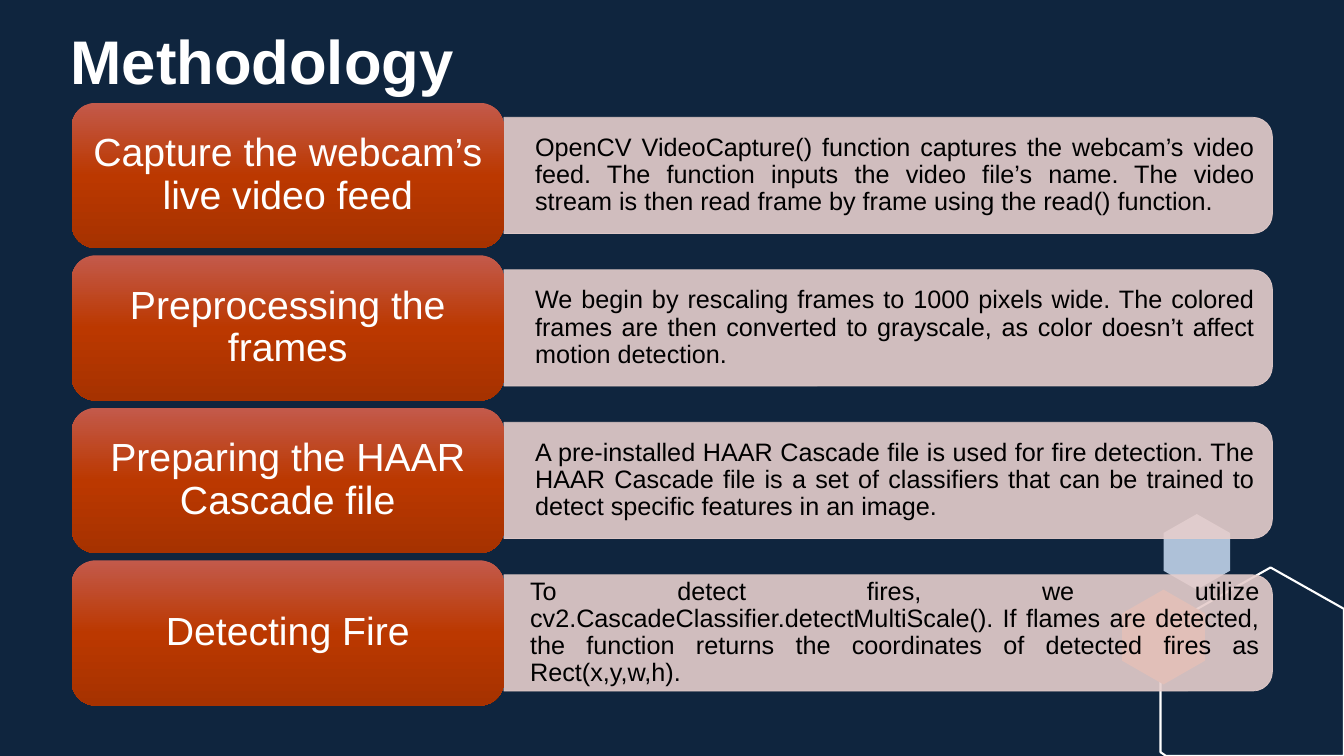
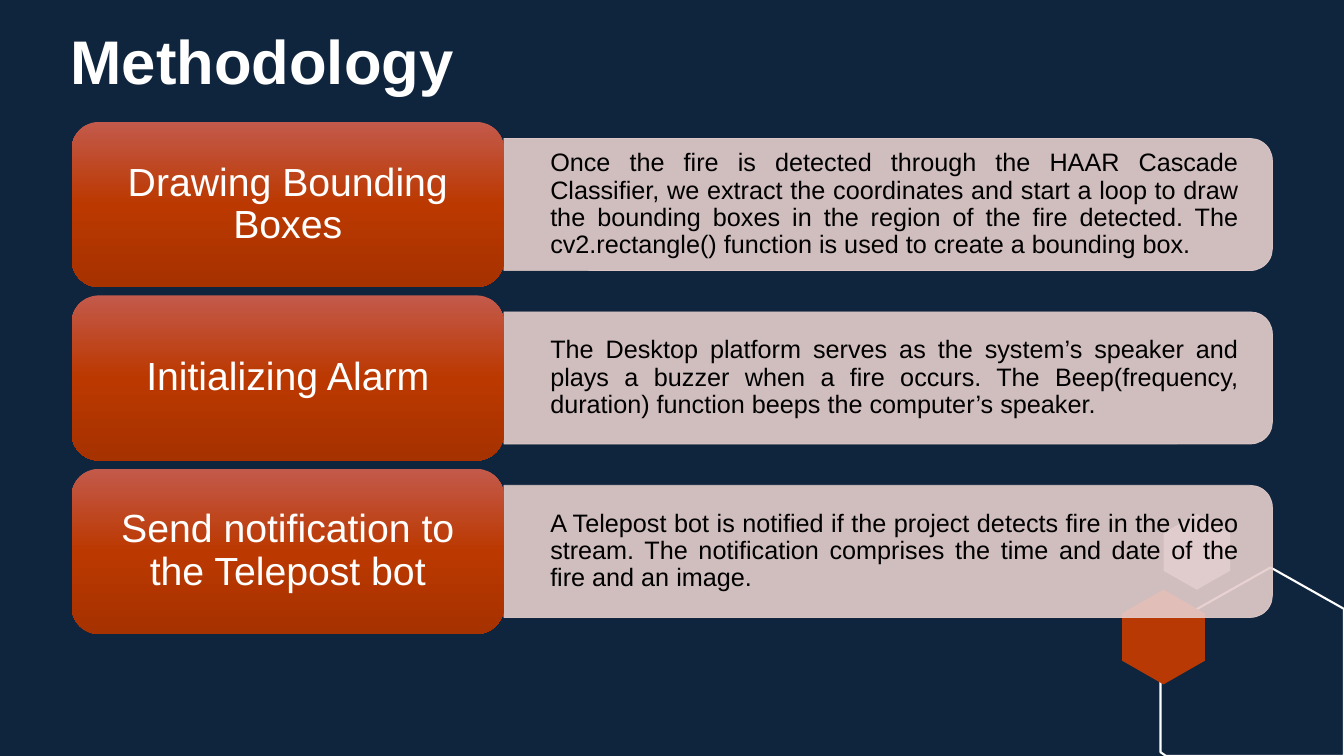
from copy import deepcopy

from pptx import Presentation
from pptx.dml.color import RGBColor
from pptx.enum.shapes import MSO_SHAPE
from pptx.enum.text import MSO_ANCHOR, MSO_AUTO_SIZE, PP_ALIGN
from pptx.oxml.ns import qn
from pptx.util import Inches, Pt

ROUND_RECT = MSO_SHAPE.ROUNDED_RECTANGLE
ROUND_TOP = MSO_SHAPE.ROUND_2_SAME_RECTANGLE
TOP, MIDDLE = MSO_ANCHOR.TOP, MSO_ANCHOR.MIDDLE
LEFT, CENTER, JUSTIFY = PP_ALIGN.LEFT, PP_ALIGN.CENTER, PP_ALIGN.JUSTIFY
NO_AUTOFIT = MSO_AUTO_SIZE.NONE

# Colours
NAVY = RGBColor(0x0F, 0x25, 0x3E)
WHITE = RGBColor(0xFF, 0xFF, 0xFF)
BLACK = RGBColor(0, 0, 0)
PALE_BLUE = RGBColor(0xAE, 0xC1, 0xD8)
RUST = RGBColor(0xB8, 0x39, 0x03)
BLUSH = RGBColor(0xE6, 0xCE, 0xCC)
LABEL_STOPS = [
    (0, RGBColor(0xC3, 0x5A, 0x4B)),
    (0.5, RGBColor(0xBB, 0x38, 0x00)),
    (1, RGBColor(0xA6, 0x32, 0x00)),
]

# Text formats
TITLE_FONT = {"name": "Arial", "size": Pt(44), "bold": True}
LABEL_FONT = {"name": "Arial", "size": Pt(28)}
DETAIL_FONT = {"name": "Arial", "size": Pt(18)}

# Geometry in inches; outlines and row parts as shares of their box
SLIDE_W, SLIDE_H = 13.33, 7.5
TITLE_BOX = (0.64, 0.21, 11.91, 0.75)
ROWS_LEFT, ROWS_WIDTH = 0.71, 11.91
LABEL_SHARE, BAR_SHARE, GAP_SHARE = 0.36, 0.8, 0.05
CORNER_INSET = 0.05
DETAIL_INDENT = 0.19
HEXAGON = [(0.5, 0), (1, 0.25), (1, 0.75), (0.5, 1), (0, 0.75), (0, 0.25)]
CUT_HEXAGON = [(0.6, 0), (1, 0.22), (1, 1), (0.03, 1), (0, 0.98), (0, 0.33)]
DECORATIONS = [
    (HEXAGON, (11.54, 5.1, 0.66, 0.75), PALE_BLUE),
    (CUT_HEXAGON, (11.51, 5.63, 1.82, 1.87), None),
    (HEXAGON, (11.13, 5.85, 0.82, 0.94), RUST),
]

# Content: top and height of the rows, then label, detail and detail insets
NARROW, NORMAL, WIDE = (0.07, 0.04), (0.12, 0.06), (0.27, 0.14)
SLIDES = [
    (1.02, 5.98, [
        ("Capture the webcam’s live video feed",
         "OpenCV VideoCapture() function captures the webcam’s video feed. "
         "The function inputs the video file’s name. The video stream is then "
         "read frame by frame using the read() function.", NORMAL),
        ("Preprocessing the frames",
         "We begin by rescaling frames to 1000 pixels wide. The colored frames "
         "are then converted to grayscale, as color doesn’t affect motion "
         "detection.", NORMAL),
        ("Preparing the HAAR Cascade file",
         "A pre-installed HAAR Cascade file is used for fire detection. The "
         "HAAR Cascade file is a set of classifiers that can be trained to "
         "detect specific features in an image.", NORMAL),
        ("Detecting Fire",
         "To detect fires, we utilize "
         "cv2.CascadeClassifier.detectMultiScale(). If flames are detected, "
         "the function returns the coordinates of detected fires as "
         "Rect(x,y,w,h).", NARROW),
    ]),
    (1.21, 5.08, [
        ("Drawing Bounding Boxes",
         "Once the fire is detected through the HAAR Cascade Classifier, we "
         "extract the coordinates and start a loop to draw the bounding boxes "
         "in the region of the fire detected. The cv2.rectangle() function is "
         "used to create a bounding box.", WIDE),
        ("Initializing Alarm",
         "The Desktop platform serves as the system’s speaker and plays a "
         "buzzer when a fire occurs. The Beep(frequency, duration) function "
         "beeps the computer’s speaker.", WIDE),
        ("Send notification to the Telepost bot",
         "A Telepost bot is notified if the project detects fire in the video "
         "stream. The notification comprises the time and date of the fire and "
         "an image.", WIDE),
    ]),
]


def inches(box):
    return [Inches(v) for v in box]


def write(tf, text, font, color, align, anchor, insets):
    """Fill a text frame with one formatted paragraph."""
    across, down = inches(insets)
    frame_format = {
        "word_wrap": True, "auto_size": NO_AUTOFIT, "vertical_anchor": anchor,
        "margin_left": across, "margin_right": across,
        "margin_top": down, "margin_bottom": down,
    }
    for name, value in frame_format.items():
        setattr(tf, name, value)
    p = tf.paragraphs[0]
    p.alignment, p.line_spacing = align, 0.9
    r = p.add_run()
    r.text = text
    for name, value in font.items():
        setattr(r.font, name, value)
    r.font.color.rgb = color
    return p


def set_alpha(sp, percent):
    """Make the fill and line of a shape partly transparent."""
    for color in sp.element.spPr.iter(qn("a:srgbClr")):
        alpha = color.makeelement(qn("a:alpha"), {"val": str(percent * 1000)})
        color.append(alpha)


def add_outline(s, outline, box, fill):
    """Draw an outline, filled or with a white line, in the given box."""
    x, y, w, h = box
    points = [(Inches(x + px * w), Inches(y + py * h)) for px, py in outline]
    builder = s.shapes.build_freeform(*points[0])
    builder.add_line_segments(points[1:], close=True)
    sp = builder.convert_to_shape()
    sp.shadow.inherit = False
    if fill is None:
        sp.fill.background()
        sp.line.color.rgb, sp.line.width = WHITE, Pt(1.5)
    else:
        sp.fill.solid()
        sp.fill.fore_color.rgb = fill
        sp.line.fill.background()
    return sp


def decorate_master(master, s):
    """Set the shared background and move the hexagons to the master."""
    master.background.fill.solid()
    master.background.fill.fore_color.rgb = NAVY
    for number, decoration in enumerate(DECORATIONS, start=20):
        sp = add_outline(s, *decoration)
        sp.element.nvSpPr.cNvPr.id = number
        master.element.cSld.spTree.append(sp.element)


def add_title(s, text):
    title = s.shapes.title
    title.left, title.top, title.width, title.height = inches(TITLE_BOX)
    write(title.text_frame, text, TITLE_FONT, WHITE, LEFT, TOP, (0.06, 0.1))


def add_bar(s, box, text, insets):
    """Draw a bar rounded on the right, with its detail text."""
    x, y, w, h = box
    # The preset is rounded at the top, so it is turned about its centre
    turned = (x + (w - h) / 2, y + (h - w) / 2, h, w)
    sp = s.shapes.add_shape(ROUND_TOP, *inches(turned))
    sp.rotation = 90
    sp.shadow.inherit = False
    sp.fill.solid()
    sp.fill.fore_color.rgb = BLUSH
    sp.line.color.rgb, sp.line.width = BLUSH, Pt(0.5)
    set_alpha(sp, 90)

    corner = h * CORNER_INSET
    text_box = (x, y + corner, w - corner, h - 2 * corner)
    tf = s.shapes.add_textbox(*inches(text_box)).text_frame
    p = write(tf, text, DETAIL_FONT, BLACK, JUSTIFY, MIDDLE, insets)
    p._p.get_or_add_pPr().set("marL", str(Inches(DETAIL_INDENT)))


def add_label(s, box, text):
    """Draw a rounded label with a gradient from top to bottom."""
    sp = s.shapes.add_shape(ROUND_RECT, *inches(box))
    sp.shadow.inherit = False
    sp.line.fill.background()
    sp.fill.gradient()
    sp.fill.gradient_angle = 270
    stops = sp.element.spPr.find(".//" + qn("a:gsLst"))
    stops.append(deepcopy(stops[0]))
    for stop, (position, color) in zip(sp.fill.gradient_stops, LABEL_STOPS):
        stop.position, stop.color.rgb = position, color
    write(sp.text_frame, text, LABEL_FONT, WHITE, CENTER, MIDDLE, NORMAL)


def add_rows(s, box, rows):
    """Stack the rows, each a label and a bar, evenly in the box."""
    x, y, w, h = box
    row_h = h / (len(rows) + (len(rows) - 1) * GAP_SHARE)
    label_w, bar_h = w * LABEL_SHARE, row_h * BAR_SHARE
    for i, (label, detail, insets) in enumerate(rows):
        top = y + i * row_h * (1 + GAP_SHARE)
        bar = (x + label_w, top + (row_h - bar_h) / 2, w - label_w, bar_h)
        add_bar(s, bar, detail, insets)
        add_label(s, (x, top, label_w, row_h), label)


def main():
    prs = Presentation()
    prs.slide_width, prs.slide_height = Inches(SLIDE_W), Inches(SLIDE_H)
    title_only = prs.slide_layouts[5]
    slides = [prs.slides.add_slide(title_only) for _ in SLIDES]
    decorate_master(prs.slide_master, slides[0])
    for s, (top, height, rows) in zip(slides, SLIDES):
        add_title(s, "Methodology")
        add_rows(s, (ROWS_LEFT, top, ROWS_WIDTH, height), rows)
    prs.save("out.pptx")


if __name__ == "__main__":
    main()
